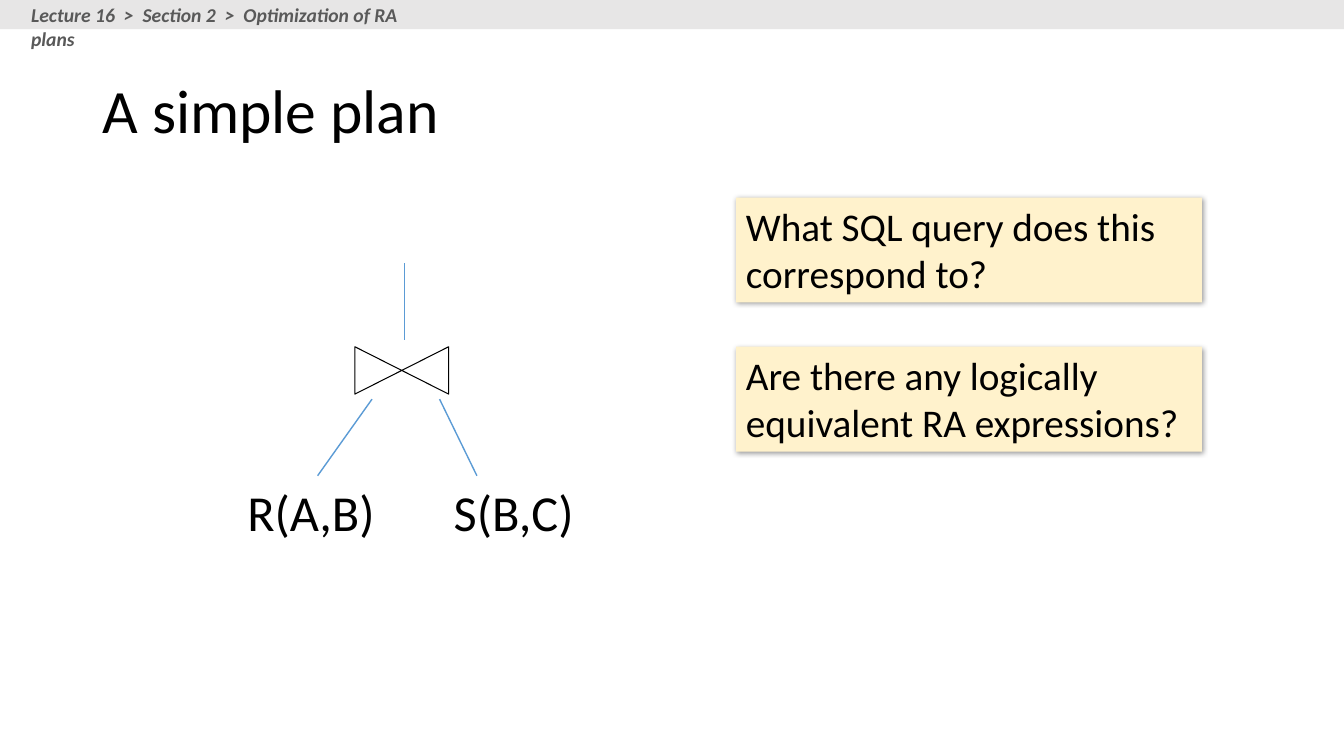
import dataclasses

import pptx
import pptx.dml.color
import pptx.enum.shapes
import pptx.enum.text
import pptx.oxml
import pptx.oxml.ns
import pptx.util

EMU_PER_PX = 9144  # 100 px to the inch
SHAPES = pptx.enum.shapes.MSO_SHAPE
ALIGN = pptx.enum.text.PP_ALIGN
ANCHOR = pptx.enum.text.MSO_ANCHOR


@dataclasses.dataclass(frozen=True)
class Theme:
    font: str = "Calibri"
    ink: str = "000000"
    breadcrumb_ink: str = "595959"
    bar: str = "E7E6E6"
    callout: str = "FFF2CC"
    branch: str = "5B9BD5"
    title_size: int = 44
    relation_size: int = 36
    callout_size: int = 28
    breadcrumb_size: int = 14
    branch_width: float = 1
    join_width: float = 0.75


THEME = Theme()


def px(*lengths):
    return [pptx.util.Emu(length * EMU_PER_PX) for length in lengths]


def rgb(color):
    return pptx.dml.color.RGBColor.from_string(color)


def write(shape, text, size, color=THEME.ink, emphasis=False,
          align=ALIGN.LEFT, anchor=ANCHOR.TOP, line_spacing=None):
    frame = shape.text_frame
    frame.word_wrap = True
    frame.vertical_anchor = anchor
    paragraph = frame.paragraphs[0]
    paragraph.alignment = align
    paragraph.line_spacing = line_spacing
    run = paragraph.add_run()
    run.text = text
    run.font.name = THEME.font
    run.font.size = pptx.util.Pt(size)
    run.font.color.rgb = rgb(color)
    run.font.bold = run.font.italic = emphasis


def add_text(slide, box, text, size, **style):
    write(slide.shapes.add_textbox(*px(*box)), text, size, **style)


def add_panel(slide, box, color):
    panel = slide.shapes.add_shape(SHAPES.RECTANGLE, *px(*box))
    panel.shadow.inherit = False
    panel.fill.solid()
    panel.fill.fore_color.rgb = rgb(color)
    panel.line.fill.background()
    return panel


def add_callout(slide, box, text):
    callout = add_panel(slide, box, THEME.callout)
    effects = callout._element.spPr.find(pptx.oxml.ns.qn("a:effectLst"))
    effects.append(pptx.oxml.parse_xml(
        f'<a:outerShdw {pptx.oxml.ns.nsdecls("a")} blurRad="50800" '
        'dist="12700" dir="2700000" algn="tl" rotWithShape="0">'
        f'<a:srgbClr val="{THEME.ink}"><a:alpha val="40000"/></a:srgbClr>'
        '</a:outerShdw>'))
    write(callout, text, THEME.callout_size)


def add_join(slide, box):
    """Draw the bow tie of a natural join, an hourglass on its side."""
    join = slide.shapes.add_shape(SHAPES.FLOWCHART_COLLATE, *px(*box))
    join.rotation = 270
    join.shadow.inherit = False
    join.fill.background()
    join.line.color.rgb = rgb(THEME.ink)
    join.line.width = pptx.util.Pt(THEME.join_width)


def add_branch(slide, start, end):
    branch = slide.shapes.add_connector(
        pptx.enum.shapes.MSO_CONNECTOR.STRAIGHT, *px(*start, *end))
    branch.line.color.rgb = rgb(THEME.branch)
    branch.line.width = pptx.util.Pt(THEME.branch_width)
    branch._element.spPr.append(pptx.oxml.parse_xml(
        f'<a:effectLst {pptx.oxml.ns.nsdecls("a")}/>'))


def add_plan(slide):
    add_join(slide, (375, 321, 47, 93))
    for left, width, relation in ((217, 183, "R(A,B)"), (428, 163, "S(B,C)")):
        add_text(slide, (left, 472, width, 71), relation,
                 THEME.relation_size, align=ALIGN.CENTER)
    for start, end in (((315, 472), (369, 396)),
                       ((473, 472), (436, 396)),
                       ((401, 337), (401, 261))):
        add_branch(slide, start, end)


def main():
    presentation = pptx.Presentation()
    presentation.slide_width, presentation.slide_height = px(1333, 750)
    slide = presentation.slides.add_slide(presentation.slide_layouts[6])

    add_text(slide, (92, 40, 1150, 145), "A simple plan", THEME.title_size,
             anchor=ANCHOR.MIDDLE, line_spacing=0.9)
    add_plan(slide)
    questions = ("What SQL query does this correspond to?",
                 "Are there any logically equivalent RA expressions?")
    for index, question in enumerate(questions):
        add_callout(slide, (730, 196 + 148 * index, 462, 104), question)

    add_panel(slide, (0, 0, 1333, 29), THEME.bar)
    add_text(slide, (21, -2, 423, 34),
             "Lecture 16  >  Section 2  >  Optimization of RA plans",
             THEME.breadcrumb_size, color=THEME.breadcrumb_ink, emphasis=True)
    presentation.save("out.pptx")


if __name__ == "__main__":
    main()
